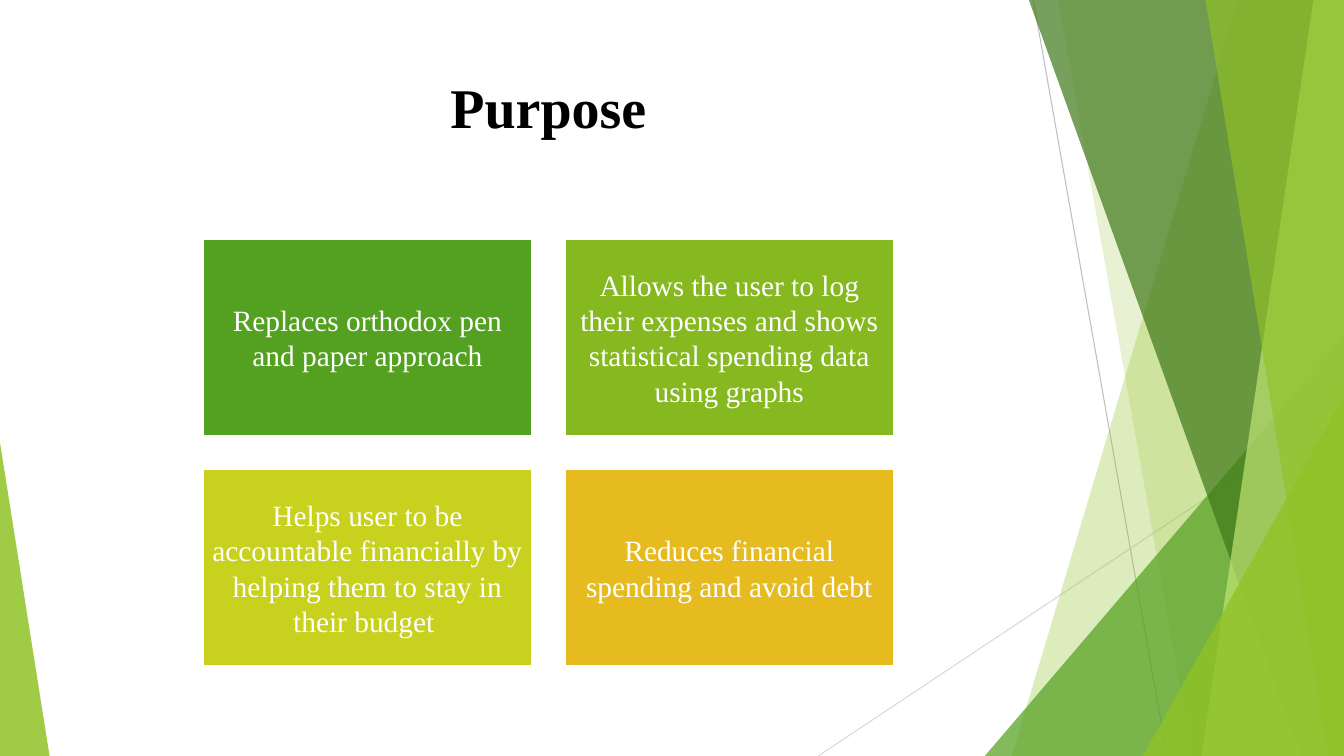
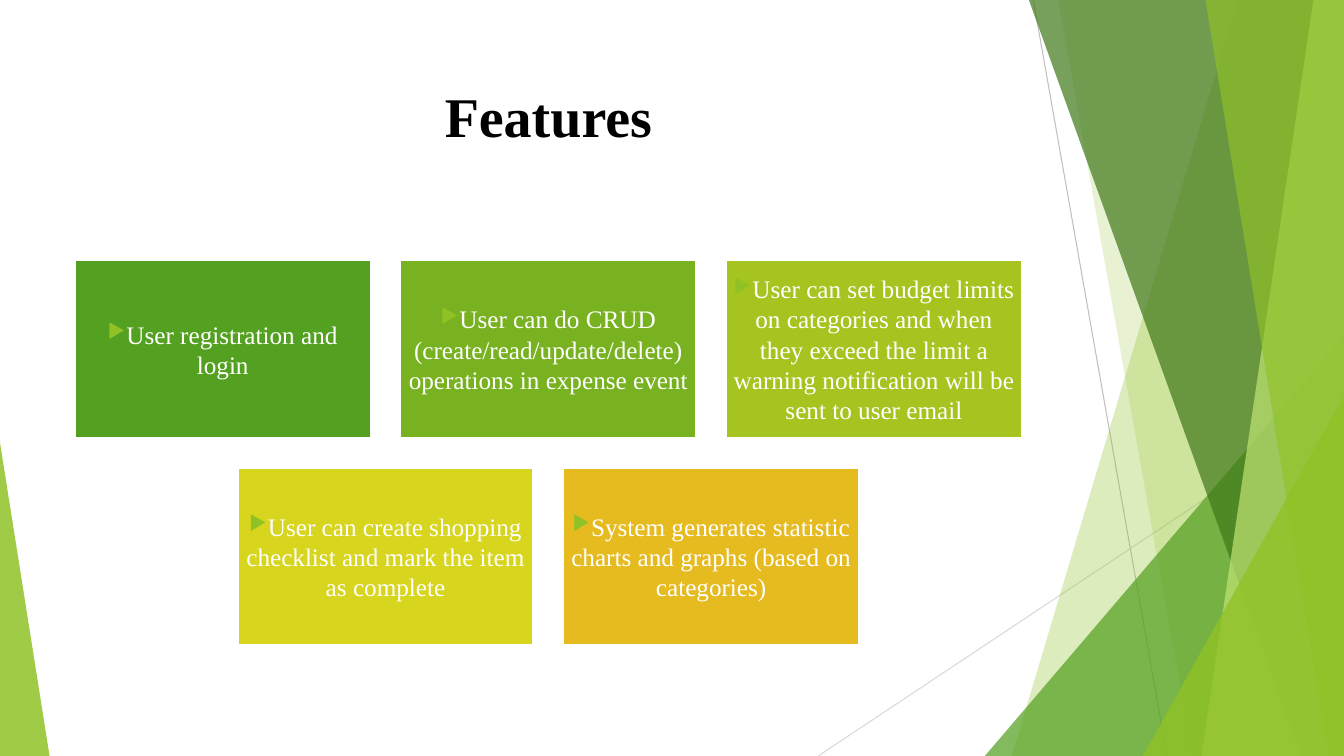
from dataclasses import dataclass

from lxml.etree import SubElement
from pptx import Presentation
from pptx.dml.color import RGBColor
from pptx.enum.shapes import MSO_CONNECTOR as Connector, MSO_SHAPE as Preset
from pptx.enum.text import MSO_ANCHOR as Anchor, PP_ALIGN as Align
from pptx.oxml.ns import qn
from pptx.util import Cm, Pt

PAGE_WIDTH, PAGE_HEIGHT = 33.87, 19.05
COLUMN_LEFT, COLUMN_WIDTH = 1.88, 23.88
FONT = "Times New Roman"
WHITE, BLACK = "FFFFFF", "000000"
LIME, GREEN, FOREST, PALE_LIME, GOLD = "90C226", "54A021", "3F7819", "C0E474", "E6BB1F"


@dataclass(frozen=True)
class Ray:
    start: tuple[float, float]
    end: tuple[float, float]
    color: str


@dataclass(frozen=True)
class Sliver:
    """Full-height band from a slanted left edge to the right page edge."""
    top_x: float
    bottom_x: float
    color: str
    opacity: int


@dataclass(frozen=True)
class Corner:
    """Right triangle standing on the bottom page edge."""
    left: float
    top: float
    width: float
    peak: float
    color: str
    opacity: int


@dataclass(frozen=True)
class Tile:
    text: str
    color: str


@dataclass(frozen=True)
class TileGrid:
    rows: list[list[Tile]]
    top: float
    tile_width: float
    inset: float
    size: int
    bulleted: bool = False


@dataclass(frozen=True)
class Topic:
    title: str
    title_top: float
    title_height: float
    grid: TileGrid


RAYS = [
    Ray((26.04, 0), (29.41, PAGE_HEIGHT), "BFBFBF"),
    Ray((PAGE_WIDTH, 10.24), (20.62, PAGE_HEIGHT), "D9D9D9"),
]
FACETS = [
    Sliver(31.19, 25.5, LIME, 30),
    Sliver(26.67, 30.05, LIME, 20),
    Corner(24.82, 8.46, PAGE_WIDTH - 24.82, 1, GREEN, 72),
    Sliver(25.93, 32.79, FOREST, 70),
    Sliver(33.1, 30.28, PALE_LIME, 70),
    Sliver(30.38, 33.48, LIME, 65),
    Corner(28.8, 9.98, PAGE_WIDTH - 28.8, 1, LIME, 80),
    Corner(0, 11.15, 1.25, 0, LIME, 85),
]
TOPICS = [
    Topic("Purpose", 1.7, 3.66, TileGrid([
        [Tile("Replaces orthodox pen and paper approach", GREEN),
         Tile("Allows the user to log their expenses and shows statistical "
              "spending data using graphs", "86B820")],
        [Tile("Helps user to be accountable financially by helping them to "
              "stay in their budget ", "C7D11E"),
         Tile("Reduces financial spending and avoid debt", GOLD)],
    ], top=6.02, tile_width=8.29, inset=0.22, size=21)),
    Topic("Features", 1.93, 2.59, TileGrid([
        [Tile("User registration and login", GREEN),
         Tile("User can do CRUD (create/read/update/delete) operations in "
              "expense event", "78B220"),
         Tile("User can set budget limits on categories and when they exceed "
              "the limit a warning notification will be sent to user email", "A5C41F")],
        [Tile("User can create shopping checklist and mark the item as complete", "D7D51D"),
         Tile("System generates statistic charts and graphs (based on categories)", GOLD)],
    ], top=6.56, tile_width=7.46, inset=0.19, size=18, bulleted=True)),
]


def rgb(color: str) -> RGBColor:
    return RGBColor.from_string(color)


def paint(shape, color: str, opacity: int = 100) -> None:
    """Give a shape a flat fill without outline or shadow."""
    shape.shadow.inherit = False
    shape.line.fill.background()
    shape.fill.solid()
    shape.fill.fore_color.rgb = rgb(color)
    if opacity < 100:
        tint = shape._element.spPr.find(qn("a:solidFill")).find(qn("a:srgbClr"))
        SubElement(tint, qn("a:alpha"), val=str(opacity * 1000))


def style_paragraph(para, size: int, color: str, bold: bool = False) -> None:
    para.alignment = Align.CENTER
    font = para.font
    font.name, font.size, font.bold = FONT, Pt(size), bold
    font.color.rgb = rgb(color)


def add_bullet(para) -> None:
    properties = para._p.get_or_add_pPr()
    properties.set("marL", "0")
    properties.set("indent", "0")
    SubElement(SubElement(properties, qn("a:buClr")), qn("a:srgbClr"), val=LIME)
    SubElement(properties, qn("a:buSzPct"), val="80000")
    SubElement(properties, qn("a:buChar"), char="▶")


def draw_ray(page, ray: Ray) -> None:
    line = page.shapes.add_connector(
        Connector.STRAIGHT, *(Cm(value) for value in ray.start + ray.end))
    line.line.color.rgb = rgb(ray.color)
    line.line.width = Pt(0.75)
    SubElement(line._element.spPr, qn("a:effectLst"))


def draw_sliver(page, sliver: Sliver) -> None:
    outline = page.shapes.build_freeform(Cm(sliver.top_x), 0)
    corners = [(PAGE_WIDTH, 0), (PAGE_WIDTH, PAGE_HEIGHT), (sliver.bottom_x, PAGE_HEIGHT)]
    outline.add_line_segments([(Cm(x), Cm(y)) for x, y in corners], close=True)
    paint(outline.convert_to_shape(), sliver.color, sliver.opacity)


def draw_corner(page, corner: Corner) -> None:
    triangle = page.shapes.add_shape(
        Preset.ISOSCELES_TRIANGLE, Cm(corner.left), Cm(corner.top),
        Cm(corner.width), Cm(PAGE_HEIGHT - corner.top))
    triangle.adjustments[0] = corner.peak
    paint(triangle, corner.color, corner.opacity)


def draw_backdrop(page) -> None:
    for ray in RAYS:
        draw_ray(page, ray)
    for facet in FACETS:
        if isinstance(facet, Sliver):
            draw_sliver(page, facet)
        else:
            draw_corner(page, facet)


def draw_title(page, topic: Topic) -> None:
    box = page.shapes.add_textbox(
        Cm(COLUMN_LEFT), Cm(topic.title_top), Cm(COLUMN_WIDTH), Cm(topic.title_height))
    box.text_frame.word_wrap = True
    para = box.text_frame.paragraphs[0]
    para.text = topic.title
    style_paragraph(para, 40, BLACK, bold=True)


def draw_tile(page, tile: Tile, grid: TileGrid, left: float, top: float) -> None:
    box = page.shapes.add_shape(
        Preset.RECTANGLE, Cm(left), Cm(top), Cm(grid.tile_width), Cm(grid.tile_width * 0.6))
    paint(box, tile.color)
    box.line.color.rgb = rgb(WHITE)
    box.line.width = Pt(1.5)
    frame = box.text_frame
    frame.word_wrap = True
    frame.vertical_anchor = Anchor.MIDDLE
    frame.margin_left = frame.margin_right = Cm(grid.inset)
    frame.margin_top = frame.margin_bottom = Cm(grid.inset)
    para = frame.paragraphs[0]
    para.text = tile.text
    if grid.bulleted:
        add_bullet(para)
    style_paragraph(para, grid.size, WHITE)


def draw_grid(page, grid: TileGrid) -> None:
    """Centre each row of tiles in the column, with gaps of a tenth of a tile."""
    gap = grid.tile_width * 0.1
    column_pitch = grid.tile_width + gap
    row_pitch = grid.tile_width * 0.6 + gap
    for row_index, row in enumerate(grid.rows):
        row_width = len(row) * column_pitch - gap
        row_left = COLUMN_LEFT + (COLUMN_WIDTH - row_width) / 2
        for index, tile in enumerate(row):
            draw_tile(page, tile, grid, row_left + index * column_pitch,
                      grid.top + row_index * row_pitch)


def main() -> None:
    deck = Presentation()
    deck.slide_width, deck.slide_height = Cm(PAGE_WIDTH), Cm(PAGE_HEIGHT)
    for topic in TOPICS:
        page = deck.slides.add_slide(deck.slide_layouts[6])
        draw_backdrop(page)
        draw_title(page, topic)
        draw_grid(page, topic.grid)
    deck.save("out.pptx")


if __name__ == "__main__":
    main()
